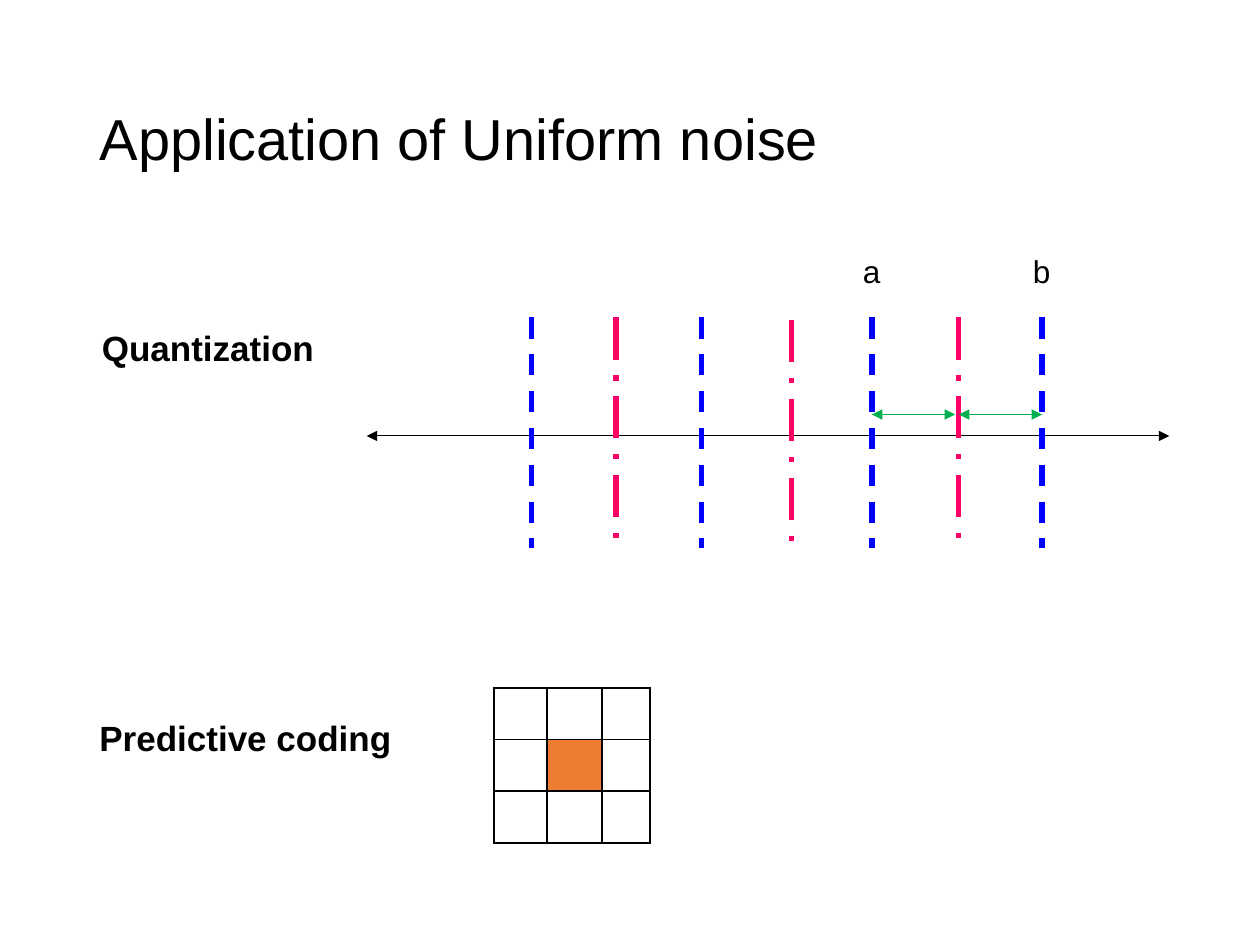
import dataclasses
import typing

import lxml.etree
import pptx
import pptx.dml.color
import pptx.enum.dml
import pptx.enum.shapes
import pptx.enum.text
import pptx.oxml
import pptx.oxml.ns
import pptx.util

# The slide is a grid of 100 columns by 75 rows
CELL = pptx.util.Inches(0.1)
FONT = "Arial"
BLACK, BLUE, PINK, GREEN, ORANGE = "000000", "0000FF", "FF0066", "00B050", "ED7D31"
DASH = pptx.enum.dml.MSO_LINE.DASH
LONG_DASH_DOT = pptx.enum.dml.MSO_LINE.LONG_DASH_DOT


@dataclasses.dataclass
class Label:
    text: str
    column: float
    row: float
    columns: float
    rows: float
    size: int
    bold: bool = False


@dataclasses.dataclass
class Line:
    start: tuple[float, float]
    end: tuple[float, float]
    color: str
    width: float = 0.5
    dash: typing.Any = None
    arrows: bool = False


def grid(count: float) -> int:
    return round(count * CELL)


def rgb(color: str) -> pptx.dml.color.RGBColor:
    return pptx.dml.color.RGBColor.from_string(color)


def add_child(parent: typing.Any, tag: str, **attributes: str) -> typing.Any:
    return lxml.etree.SubElement(parent, pptx.oxml.ns.qn(tag), **attributes)


def write(box: typing.Any, text: str, size: int, bold: bool = False) -> None:
    box.text_frame.text = text
    para = box.text_frame.paragraphs[0]
    para.alignment = pptx.enum.text.PP_ALIGN.LEFT
    font = para.runs[0].font
    font.name, font.size, font.bold = FONT, pptx.util.Pt(size), bold
    font.color.rgb = rgb(BLACK)


def draw_label(page: typing.Any, label: Label) -> None:
    box = page.shapes.add_textbox(
        grid(label.column), grid(label.row), grid(label.columns), grid(label.rows))
    write(box, label.text, label.size, label.bold)
    box.text_frame.word_wrap = False
    box.text_frame.auto_size = pptx.enum.text.MSO_AUTO_SIZE.SHAPE_TO_FIT_TEXT


def draw_line(page: typing.Any, line: Line) -> None:
    connector = page.shapes.add_connector(
        pptx.enum.shapes.MSO_CONNECTOR.STRAIGHT,
        *map(grid, line.start), *map(grid, line.end))
    connector.line.color.rgb = rgb(line.color)
    connector.line.width = pptx.util.Pt(line.width)
    if line.dash is not None:
        connector.line.dash_style = line.dash
    if line.arrows:
        outline = connector.line._get_or_add_ln()
        for tag in ("a:headEnd", "a:tailEnd"):
            add_child(outline, tag, type="triangle")
    add_child(connector._element.spPr, "a:effectLst")


def border_cell(cell: typing.Any, color: str, width: float) -> None:
    properties = cell._tc.get_or_add_tcPr()
    for index, tag in enumerate(("a:lnL", "a:lnR", "a:lnT", "a:lnB")):
        edge = add_child(properties, tag, w=str(pptx.util.Pt(width)))
        add_child(add_child(edge, "a:solidFill"), "a:srgbClr", val=color)
        properties.insert(index, edge)


def draw_pixels(page: typing.Any, column: float, row: float,
                widths: list[float], heights: list[float]) -> None:
    table = page.shapes.add_table(
        len(heights), len(widths), grid(column), grid(row),
        grid(sum(widths)), grid(sum(heights))).table
    table.first_row = table.horz_banding = False
    for table_column, width in zip(table.columns, widths):
        table_column.width = grid(width)
    for table_row, height in zip(table.rows, heights):
        table_row.height = grid(height)
    for cell in table.iter_cells():
        cell.fill.background()
        border_cell(cell, BLACK, 1)
    # The predicted pixel is in the middle
    center = table.cell(1, 1)
    center.fill.solid()
    center.fill.fore_color.rgb = rgb(ORANGE)


def main() -> None:
    deck = pptx.Presentation()
    deck.slide_width, deck.slide_height = grid(100), grid(75)
    page = deck.slides.add_slide(deck.slide_layouts[5])

    # Title
    title = page.shapes.title
    title.left, title.top, title.width, title.height = map(grid, (6.9, 4, 86.2, 14.5))
    write(title, "Application of Uniform noise", 33)
    title.text_frame.paragraphs[0].line_spacing = 0.9
    title.text_frame.vertical_anchor = pptx.enum.text.MSO_ANCHOR.MIDDLE
    title.text_frame.auto_size = pptx.enum.text.MSO_AUTO_SIZE.NONE

    # Quantization: axis, decision boundaries, levels and error ranges
    top, length = 25.2, 18.3
    boundaries = [42.2 + 13.5 * step for step in range(4)]
    lower, upper = boundaries[-2:]
    levels = [(48.9, top), (62.8, top + 0.2), (76.1, top)]
    lines = [Line((29.1, 34.6), (92.8, 34.6), BLACK, arrows=True)]
    lines += [Line((x, top), (x, top + length), BLUE, 3, DASH) for x in boundaries]
    lines += [Line((x, y), (x, y + length), PINK, 3, LONG_DASH_DOT) for x, y in levels]
    lines += [Line((x, 32.9), (x + 6.6, 32.9), GREEN, arrows=True)
              for x in (upper - 6.6, lower)]
    for line in lines:
        draw_line(page, line)

    # Labels
    for label in (
        Label("a", lower - 1.7, 19.5, 3.4, 4, 18),
        Label("b", upper - 1.7, 19.5, 3.4, 4, 18),
        Label("Quantization", 7.1, 25.4, 19, 4.4, 20, True),
        Label("Predictive coding", 6.9, 56.4, 25.4, 4.4, 20, True),
    ):
        draw_label(page, label)

    # Predictive coding: pixel neighbourhood
    draw_pixels(page, 39.2, 54.6, [4.2, 4.4, 3.8], [4.1] * 3)

    deck.save("out.pptx")


if __name__ == "__main__":
    main()
